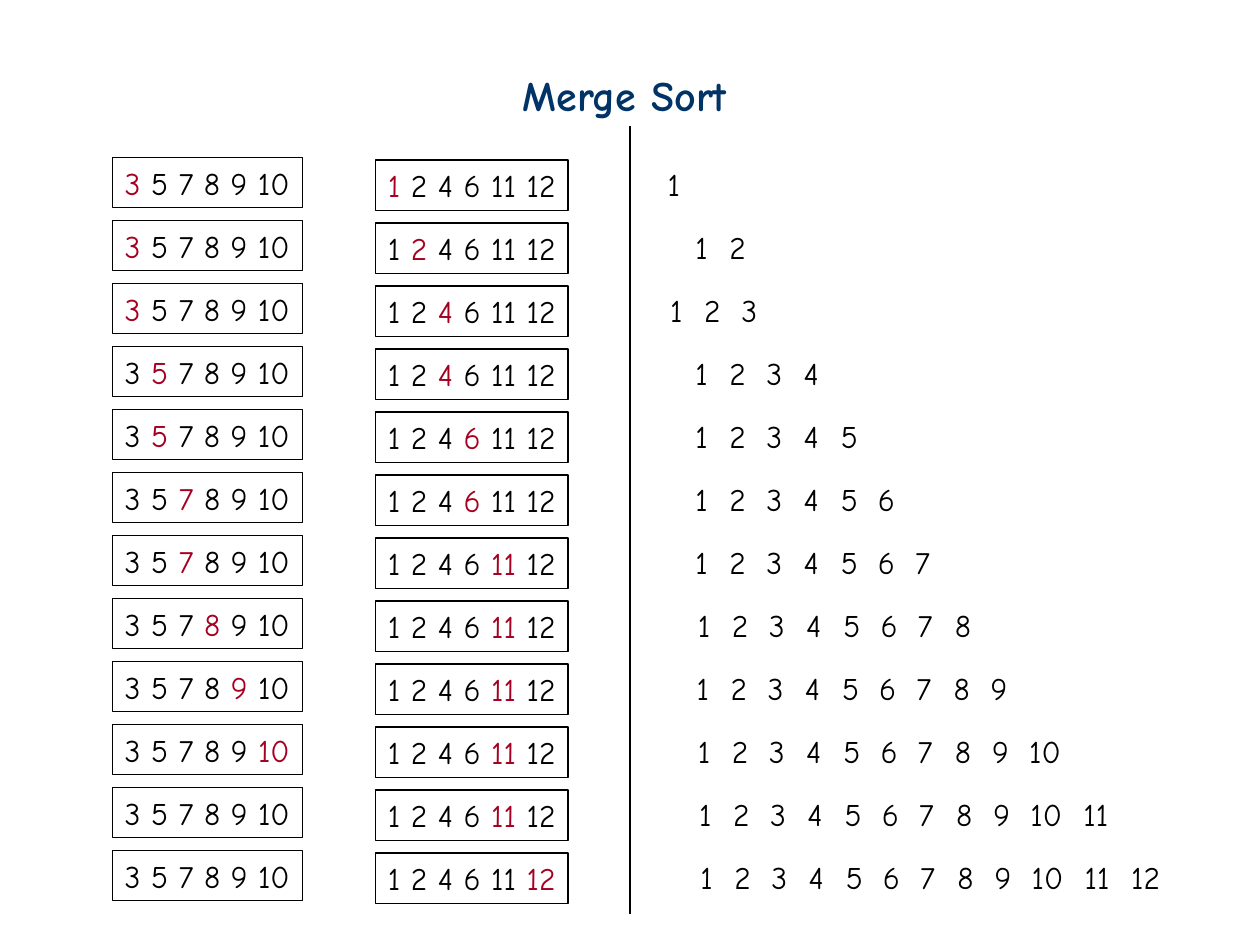
from lxml import etree
from pptx import Presentation
from pptx.dml.color import RGBColor
from pptx.enum import shapes, text
from pptx.oxml.ns import qn
from pptx.util import Inches, Pt

COLORS = {"title": "003366", "ink": "000000", "active": "A50021"}
FONT = "Comic Neue"
LEFT, RIGHT = [3, 5, 7, 8, 9, 10], [1, 2, 4, 6, 11, 12]

# Grid: rows and columns of half an inch
CELL = Inches(0.5)
BOX_HEIGHT = 0.8
LISTS = [(LEFT, 1.78, 3.02, 2.5), (RIGHT, 5.96, 3.06, 2.54)]  # column, width, first row
OUTPUT_COLUMNS = [10.4, 10.84, 10.44, 10.84, 10.84, 10.84,
                  10.84, 10.88, 10.86, 10.88, 10.9, 10.92]
OUTPUT_ROW, OUTPUT_WIDTH = 2.52, 8
# Single digits are evenly spaced; 11 and 12 follow wider numbers
TAB_STOPS = [0.27 + 0.295 * step for step in range(9)] + [3.05, 3.42]


def cells(*counts):
    return [int(count * CELL) for count in counts]


def write(box, pieces, size=18, color="ink", bold=False, tabs=()):
    """Fill a box with one paragraph of (text, is_active) pieces."""
    frame = box.text_frame
    frame.word_wrap = False
    frame.vertical_anchor = text.MSO_ANCHOR.TOP
    para = frame.paragraphs[0]
    para.alignment = text.PP_ALIGN.LEFT
    if tabs:
        tab_list = etree.SubElement(para._p.get_or_add_pPr(), qn("a:tabLst"))
        for stop in tabs:
            etree.SubElement(tab_list, qn("a:tab"), pos=str(int(Inches(stop))), algn="l")
    para.font.name, para.font.size, para.font.bold = FONT, Pt(size), bold
    para.font.color.rgb = RGBColor.from_string(COLORS[color])
    for words, is_active in pieces:
        span = para.add_run()
        span.text = words
        # Shapes carry a white style colour, so each run states its own
        span.font.color.rgb = RGBColor.from_string(COLORS["active" if is_active else color])


deck = Presentation()
deck.slide_width, deck.slide_height = cells(20, 15)
page = deck.slides.add_slide(deck.slide_layouts[6])

# Title
title = page.shapes.add_textbox(*cells(8.1, 1, 3.66, 1))
write(title, [("Merge Sort", False)], size=24, color="title", bold=True)

# Divider between the inputs and the merged output
divider = page.shapes.add_connector(shapes.MSO_CONNECTOR.STRAIGHT, *cells(10, 2, 10, 14.5))
divider.line.color.rgb = RGBColor.from_string(COLORS["ink"])
divider.line.width = Pt(0.75)
etree.SubElement(divider._element.spPr, qn("a:effectLst"))

# One row per merge step: both lists with their heads marked, then the output
heads = [0, 0]
merged = []
for step, output_column in enumerate(OUTPUT_COLUMNS):
    for (numbers, column, width, first_row), head in zip(LISTS, heads):
        box = page.shapes.add_shape(shapes.MSO_SHAPE.RECTANGLE,
                                    *cells(column, first_row + step, width, BOX_HEIGHT))
        box.shadow.inherit = False
        box.fill.background()
        box.line.color.rgb = RGBColor.from_string(COLORS["ink"])
        box.line.width = Pt(0.75)
        before = "".join(f"{number} " for number in numbers[:head])
        active = "".join(str(number) for number in numbers[head:head + 1])
        after = "".join(f" {number}" for number in numbers[head + 1:])
        pieces = [(before if active else before.rstrip(), False), (active, True), (after, False)]
        write(box, [piece for piece in pieces if piece[0]])

    # Move the smaller head to the output
    waiting = [(LISTS[side][0][heads[side]], side) for side in (0, 1)
               if heads[side] < len(LISTS[side][0])]
    smallest, side = min(waiting)
    heads[side] += 1
    merged.append(str(smallest))
    output = page.shapes.add_textbox(
        *cells(output_column, OUTPUT_ROW + step, OUTPUT_WIDTH, BOX_HEIGHT))
    write(output, [("\t".join(merged), False)], tabs=TAB_STOPS[:step])

deck.save("out.pptx")
